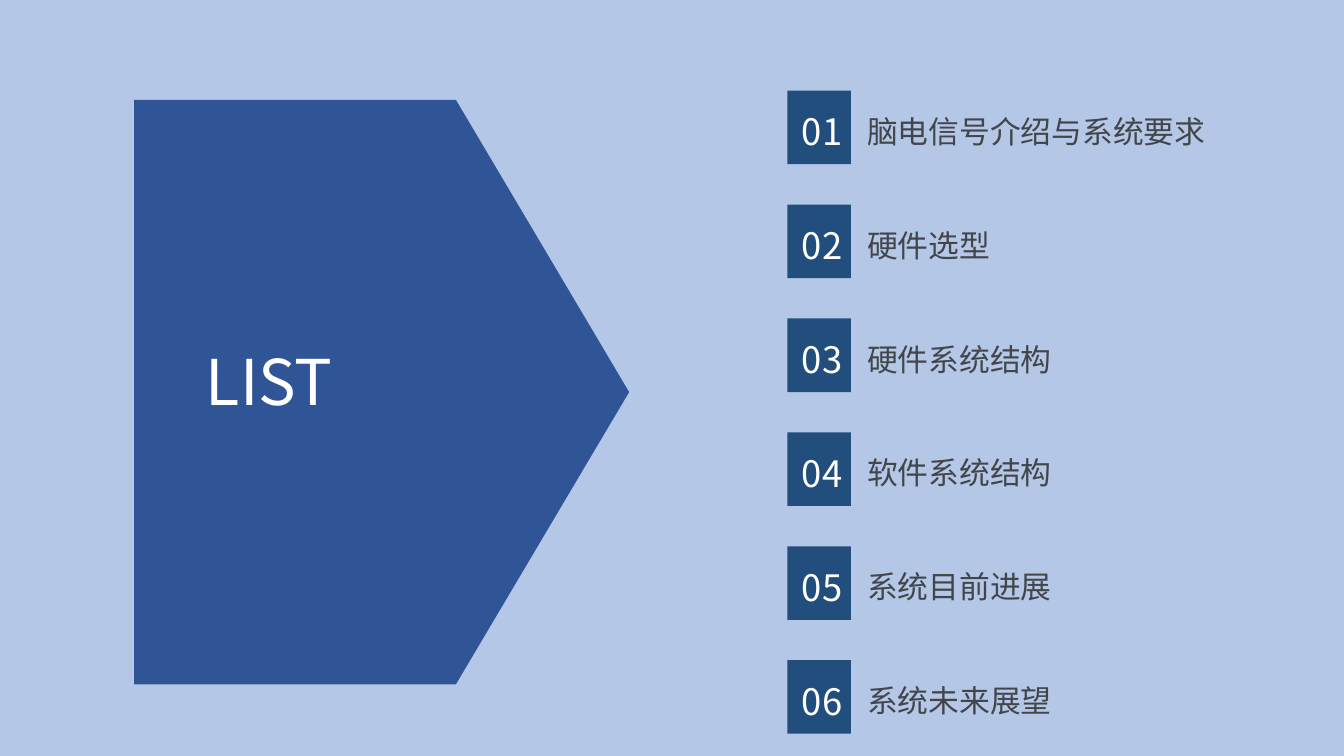
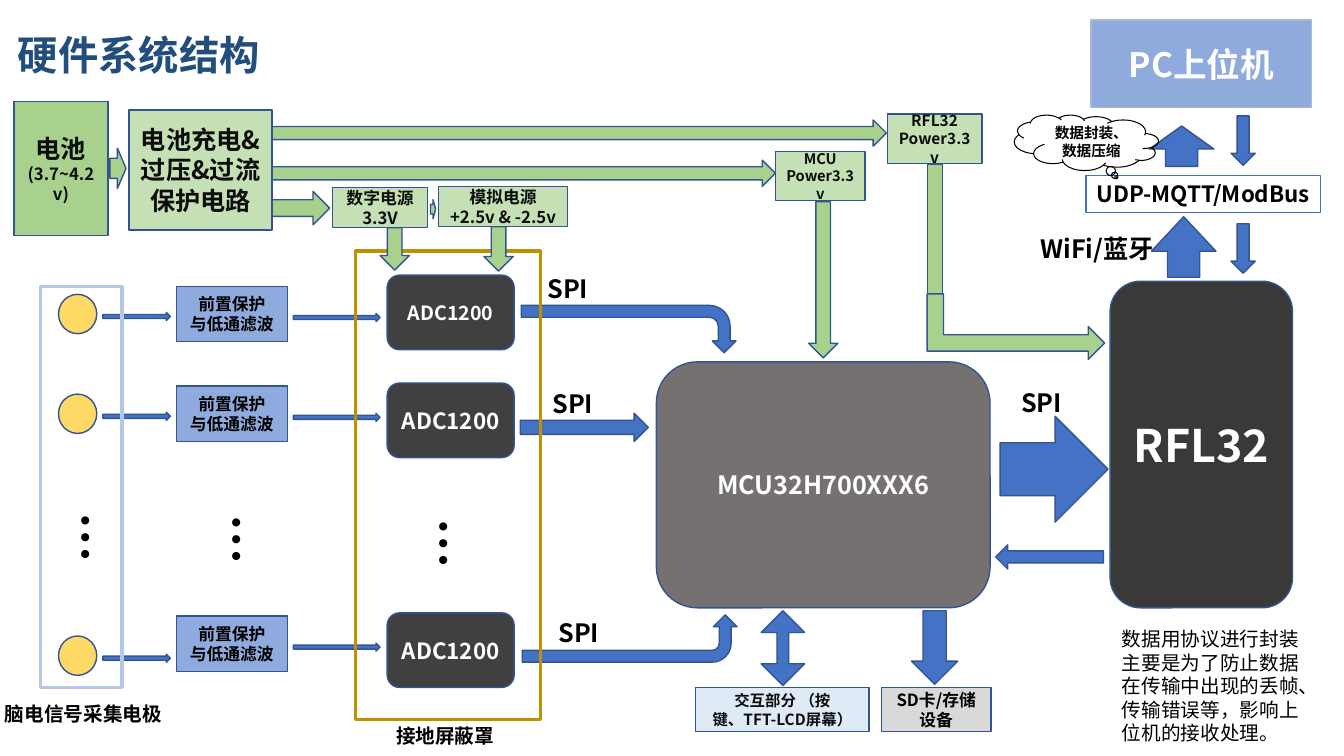
"""Build an agenda slide and a hardware block diagram slide."""
import pptx
import pptx.util
import pptx.dml.color
import pptx.enum.shapes
import pptx.enum.text
import pptx.oxml.ns
from lxml import etree

Inches = pptx.util.Inches
Shape = pptx.enum.shapes.MSO_SHAPE
Align = pptx.enum.text.PP_ALIGN
Anchor = pptx.enum.text.MSO_ANCHOR

FONT = "Noto Sans CJK SC"
BLACK, INK, WHITE = "000000", "0D0D0D", "FFFFFF"
NAVY, OUTLINE = "214E7D", "325491"
BLUE, MID_BLUE, PALE_BLUE = "4472C4", "8FAADC", "B4C7E7"
GREEN, PALE_GREEN = "A9D18E", "C5E0B4"


def draw(slide, kind, at, fill=None, line=OUTLINE, width=1, turn=0, adjust=(), flip=None):
    shape = slide.shapes.add_shape(kind, *map(Inches, at))
    shape.shadow.inherit = False
    shape.rotation = turn
    for index, value in enumerate(adjust):
        shape.adjustments[index] = value
    for paint, colour in ((shape.fill, fill), (shape.line.fill, line)):
        if colour:
            paint.solid()
            paint.fore_color.rgb = pptx.dml.color.RGBColor.from_string(colour)
        else:
            paint.background()
    if line:
        shape.line.width = pptx.util.Pt(width)
    if flip:
        shape.element.spPr.get_or_add_xfrm().set(flip, "1")
    return shape


def write(shape, runs, colour, bold=True, align=Align.CENTER, anchor=Anchor.MIDDLE,
          spacing=None, insets=(0.1, 0.05, 0.1, 0.05)):
    frame = shape.text_frame
    frame.word_wrap = True
    frame.vertical_anchor = anchor
    frame.margin_left, frame.margin_top, frame.margin_right, frame.margin_bottom = map(Inches, insets)
    paragraph = frame.paragraphs[0]
    paragraph.alignment = align
    paragraph.line_spacing = spacing
    for text, size in runs:
        for number, part in enumerate(text.split("\n")):
            if number:
                paragraph.add_line_break()
            run = paragraph.add_run()
            run.text = part
            run.font.size = pptx.util.Pt(size)
            run.font.bold = bold
            run.font.name = FONT
            run.font.color.rgb = pptx.dml.color.RGBColor.from_string(colour)
            east_asian = etree.SubElement(run.font._element, pptx.oxml.ns.qn("a:ea"))
            east_asian.set("typeface", FONT)


deck = pptx.Presentation()
deck.slide_width, deck.slide_height = Inches(13.33), Inches(7.5)
agenda, diagram = [deck.slides.add_slide(deck.slide_layouts[6]) for _ in range(2)]
for slide, colour in ((agenda, PALE_BLUE), (diagram, WHITE)):
    slide.background.fill.solid()
    slide.background.fill.fore_color.rgb = pptx.dml.color.RGBColor.from_string(colour)

draw(agenda, Shape.PENTAGON, (1.33, 0.99, 4.91, 5.8), "2F5597", None, adjust=(0.35,))
heading = agenda.shapes.add_textbox(*map(Inches, (0.97, 3.27, 3.4, 0.88)))
write(heading, [("LIST", 45)], WHITE, bold=False, spacing=1.16, insets=(0, 0, 0, 0))

topics = ["脑电信号介绍与系统要求", "硬件选型", "硬件系统结构",
          "软件系统结构", "系统目前进展", "系统未来展望"]
for row, topic in enumerate(topics):
    top = 0.9 + 1.13 * row
    badge = draw(agenda, Shape.RECTANGLE, (7.81, top, 0.63, 0.73), NAVY, None)
    write(badge, [(f"{row + 1:02}", 26)], WHITE, bold=False, spacing=1.16, insets=(0.06, 0, 0, 0))
    label = agenda.shapes.add_textbox(*map(Inches, (8.6, top + 0.17, 3.4, 0.4)))
    write(label, [(topic, 22)], "42464B", bold=False, align=Align.LEFT, spacing=1.16, insets=(0, 0, 0, 0))

title = diagram.shapes.add_textbox(*map(Inches, (0.08, 0.18, 2.74, 0.64)))
write(title, [("硬件系统结构", 28.8)], NAVY, align=Align.LEFT, spacing=1.16)

channels = [(2.92, 2.84, 2.73, 14), (3.91, 3.83, 3.8, 16), (6.31, 6.11, 6.08, 16)]
for electrode_top, filter_top, converter_top, size in channels:
    draw(diagram, Shape.OVAL, (0.58, electrode_top, 0.38, 0.39), "FFD966")
    draw(diagram, Shape.RIGHT_ARROW, (1.02, electrode_top + 0.18, 0.67, 0.08), BLUE)
    front_end = draw(diagram, Shape.RECTANGLE, (1.75, filter_top, 1.1, 0.55), MID_BLUE)
    write(front_end, [("前置保护\n与低通滤波", 12)], BLACK)
    draw(diagram, Shape.RIGHT_ARROW, (2.91, filter_top + 0.27, 0.86, 0.08), BLUE)
    converter = draw(diagram, Shape.ROUNDED_RECTANGLE, (3.84, converter_top, 1.26, 0.74), "404040")
    write(converter, [("ADC1200", size)], WHITE)

for left, top in ((0.4, 4.99), (1.9, 5.01), (3.95, 5.05)):
    dots = diagram.shapes.add_textbox(*map(Inches, (left, top, 0.81, 0.63)))
    write(dots, [("…", 36)], BLACK, align=Align.LEFT, anchor=Anchor.TOP)
    dots.text_frame._txBody.bodyPr.set("vert", "eaVert")

blocks = [
    (Shape.ROUNDED_RECTANGLE, (6.51, 3.59, 3.31, 2.44), "767171", OUTLINE, WHITE, [("MCU32H700XXX6", 18)]),
    (Shape.ROUNDED_RECTANGLE, (11.01, 2.79, 1.81, 3.24), "3B3838", OUTLINE, WHITE, [("RFL32", 32)]),
    (Shape.RECTANGLE, (0.14, 1.01, 0.93, 1.33), GREEN, OUTLINE, INK, [("电池", 18), ("(3.7~4.2v)", 12)]),
    (Shape.RECTANGLE, (1.28, 1.09, 1.42, 1.19), PALE_GREEN, OUTLINE, INK, [("电池充电&过压&过流 保护电路", 18)]),
    (Shape.RECTANGLE, (3.3, 1.86, 0.94, 0.4), PALE_GREEN, OUTLINE, INK, [("数字电源3.3V", 12)]),
    (Shape.RECTANGLE, (4.35, 1.85, 1.28, 0.4), PALE_GREEN, OUTLINE, INK, [("模拟电源+2.5v & -2.5v", 12)]),
    (Shape.RECTANGLE, (7.69, 1.5, 0.89, 0.49), PALE_GREEN, OUTLINE, INK, [("MCU Power3.3v", 10.5)]),
    (Shape.RECTANGLE, (8.8, 1.13, 0.94, 0.49), PALE_GREEN, OUTLINE, INK, [("RFL32 Power3.3v", 11)]),
    (Shape.RECTANGLE, (10.77, 1.74, 2.33, 0.37), WHITE, BLUE, BLACK, [("UDP-MQTT/ModBus", 16)]),
    (Shape.RECTANGLE, (10.82, 0.2, 2.19, 0.87), MID_BLUE, "ADB9CA", WHITE, [("PC上位机", 24)]),
    (Shape.RECTANGLE, (6.9, 6.82, 1.72, 0.44), "DEEBF7", OUTLINE, INK, [("交互部分 （按\n键、TFT-LCD屏幕）", 11)]),
    (Shape.RECTANGLE, (8.74, 6.82, 1.09, 0.44), "D9D9D9", OUTLINE, BLACK, [("SD卡/存储设备", 12)]),
]
for kind, at, fill, line, colour, runs in blocks:
    write(draw(diagram, kind, at, fill, line), runs, colour)

data_arrows = [
    (Shape.BENT_ARROW, (6, 2.2, 0.47, 2.13), 90, (), None),
    (Shape.BENT_ARROW, (6.01, 5.27, 0.47, 2.13), 270, (0.25, 0.25, 0.25, 0.4), "flipV"),
    (Shape.RIGHT_ARROW, (5.16, 4.1, 1.27, 0.28), 0, (), None),
    (Shape.RIGHT_ARROW, (9.92, 4.13, 1.07, 1.05), 0, (), None),
    (Shape.DOWN_ARROW, (10.29, 4.99, 0.24, 1.07), 90, (), None),
    (Shape.RIGHT_ARROW, (11.44, 2.13, 0.6, 0.64), 270, (0.5, 0.57), None),
    (Shape.RIGHT_ARROW, (11.52, 1.13, 0.4, 0.64), 270, (0.5, 0.57), None),
    (Shape.DOWN_ARROW, (12.21, 1.15, 0.24, 0.49), 0, (), None),
    (Shape.DOWN_ARROW, (12.21, 2.22, 0.24, 0.49), 0, (), None),
    (Shape.UP_DOWN_ARROW, (7.55, 6.06, 0.43, 0.74), 0, (0.5, 0.27), None),
    (Shape.DOWN_ARROW, (9.04, 6.06, 0.46, 0.73), 0, (), None),
]
for kind, at, turn, adjust, flip in data_arrows:
    draw(diagram, kind, at, BLUE, turn=turn, adjust=adjust, flip=flip)

draw(diagram, Shape.RECTANGLE, (3.53, 2.49, 1.83, 4.65), None, "BF9000", 2.25)
draw(diagram, Shape.RECTANGLE, (0.4, 2.84, 0.81, 3.98), None, PALE_BLUE, 2.25)

power_arrows = [
    (Shape.DOWN_ARROW, (0.97, 1.59, 0.4, 0.16), 270, (0.5, 0.53)),
    (Shape.RIGHT_ARROW, (2.7, 1.19, 6.09, 0.26), 0, ()),
    (Shape.RIGHT_ARROW, (2.7, 1.59, 4.99, 0.26), 0, ()),
    (Shape.RIGHT_ARROW, (2.7, 1.9, 0.57, 0.33), 0, ()),
    (Shape.DOWN_ARROW, (4.2, 2.05, 0.19, 0.05), 270, ()),
    (Shape.DOWN_ARROW, (3.77, 2.26, 0.29, 0.42), 0, ()),
    (Shape.DOWN_ARROW, (4.8, 2.25, 0.29, 0.44), 0, ()),
    (Shape.DOWN_ARROW, (8.02, 2, 0.29, 1.55), 0, ()),
    (Shape.RECTANGLE, (9.2, 1.63, 0.15, 1.53), 0, ()),
    (Shape.BENT_UP_ARROW, (9.75, 2.36, 0.65, 1.76), 90, ()),
]
for kind, at, turn, adjust in power_arrows:
    draw(diagram, kind, at, GREEN, turn=turn, adjust=adjust)

packing = draw(diagram, Shape.CLOUD_CALLOUT, (10.06, 1.14, 1.43, 0.55), None, BLACK, 0.75, flip="flipH")
write(packing, [("数据封装、数据压缩", 10.5)], BLACK)

captions = [
    ((5.33, 2.66, 0.71, 0.4), "SPI", 18, True),
    ((5.38, 3.8, 0.71, 0.4), "SPI", 18, True),
    ((5.44, 6.08, 0.71, 0.4), "SPI", 18, True),
    ((10.03, 3.79, 0.71, 0.4), "SPI", 18, True),
    ((10.22, 2.27, 1.4, 0.4), "WiFi/蓝牙", 18, True),
    ((3.83, 7.13, 1.2, 0.34), "接地屏蔽罩", 14, True),
    ((-0.05, 6.91, 1.83, 0.34), "脑电信号采集电极", 14, True),
    ((11.03, 6.17, 2.13, 1.28),
     "数据用协议进行封装主要是为了防止数据在传输中出现的丢帧、传输错误等，影响上位机的接收处理。", 14, False),
]
for at, text, size, bold in captions:
    caption = diagram.shapes.add_textbox(*map(Inches, at))
    write(caption, [(text, size)], BLACK, bold, Align.LEFT, Anchor.TOP)

deck.save("out.pptx")
